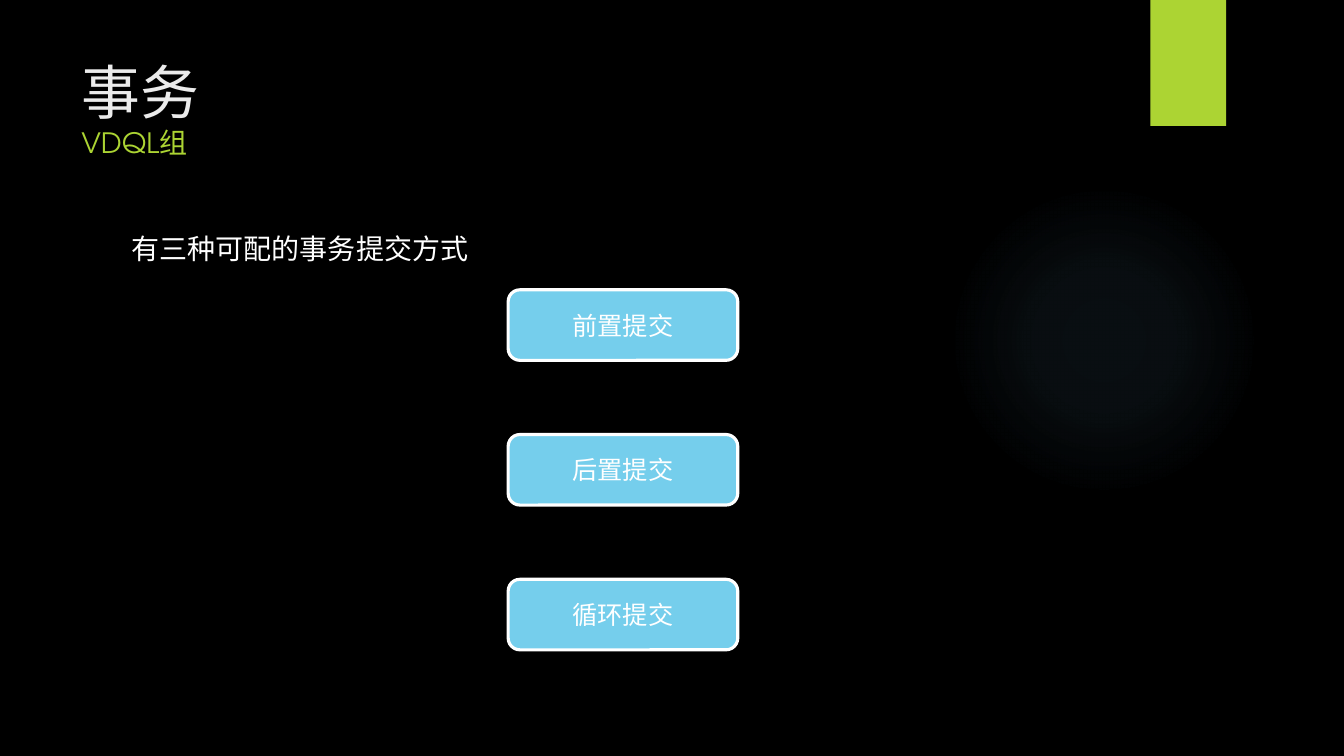
"""Build the slide on the three ways to commit a transaction."""
from pptx import Presentation
from pptx.dml.color import RGBColor
from pptx.enum.shapes import MSO_SHAPE
from pptx.enum.text import MSO_ANCHOR, PP_ALIGN
from pptx.oxml import parse_xml
from pptx.oxml.ns import nsdecls
from pptx.util import Pt

RECT, ROUND, OVAL = MSO_SHAPE.RECTANGLE, MSO_SHAPE.ROUNDED_RECTANGLE, MSO_SHAPE.OVAL
TOP, MIDDLE = MSO_ANCHOR.TOP, MSO_ANCHOR.MIDDLE
LEFT, CENTER = PP_ALIGN.LEFT, PP_ALIGN.CENTER
FONT = "TeX Gyre Adventor"
COLORS = {"back": "000000", "glow": "7AC4F0", "lime": "ACD433",
          "pale": "EBEBEB", "sky": "75CEEC", "white": "FFFFFF"}
GLOW = ((0, 7), (36, 6), (69, 0), (100, 0))
MODES = ("前置提交", "后置提交", "循环提交")


def color(name):
    return RGBColor.from_string(COLORS[name])


def write(shape, lines, align=LEFT, anchor=TOP):
    frame = shape.text_frame
    frame.word_wrap = True
    frame.vertical_anchor = anchor
    for i, (text, size, tint) in enumerate(lines):
        para = frame.add_paragraph() if i else frame.paragraphs[0]
        para.alignment = align
        run = para.add_run()
        run.text = text
        run.font.name = FONT
        run.font.size = Pt(size)
        run.font.color.rgb = color(tint)


def add_text(slide, box, lines, **style):
    write(slide.shapes.add_textbox(*map(Pt, box)), lines, **style)


def add_block(slide, kind, box, fill, line=None):
    shape = slide.shapes.add_shape(kind, *map(Pt, box))
    shape.shadow.inherit = False
    shape.fill.solid()
    shape.fill.fore_color.rgb = color(fill)
    if line:
        shape.line.color.rgb = color(line)
        shape.line.width = Pt(2.25)
    else:
        shape.line.fill.background()
    return shape


def add_glow(slide, box):
    shape = add_block(slide, OVAL, box, "glow")
    stops = "".join(
        f'<a:gs pos="{pos * 1000}"><a:srgbClr val="{COLORS["glow"]}">'
        f'<a:alpha val="{alpha * 1000}"/></a:srgbClr></a:gs>'
        for pos, alpha in GLOW)
    grad = parse_xml(
        f'<a:gradFill {nsdecls("a")}><a:gsLst>{stops}</a:gsLst><a:path path="circle">'
        '<a:fillToRect l="50000" t="50000" r="50000" b="50000"/></a:path></a:gradFill>')
    props = shape.element.spPr
    props.replace(props.find("{*}solidFill"), grad)


def main():
    deck = Presentation()
    deck.slide_width, deck.slide_height = Pt(960), Pt(540)
    slide = deck.slides.add_slide(deck.slide_layouts[6])
    slide.background.fill.solid()
    slide.background.fill.fore_color.rgb = color("back")
    add_glow(slide, (677.5, 131.8, 221.8, 221.8))
    add_block(slide, RECT, (821.8, 0, 54, 90), "lime")
    add_text(slide, (51, 36, 741, 110), [("事务", 42, "pale"), ("VDQL组", 20, "lime")])
    for i, mode in enumerate(MODES):
        button = add_block(slide, ROUND, (363, 207 + 103.4 * i, 164, 50.4), "sky", "white")
        write(button, [(mode, 18, "white")], align=CENTER, anchor=MIDDLE)
    add_text(slide, (87, 162, 704, 330), [("有三种可配的事务提交方式", 20, "white")])
    deck.save("out.pptx")


if __name__ == "__main__":
    main()
